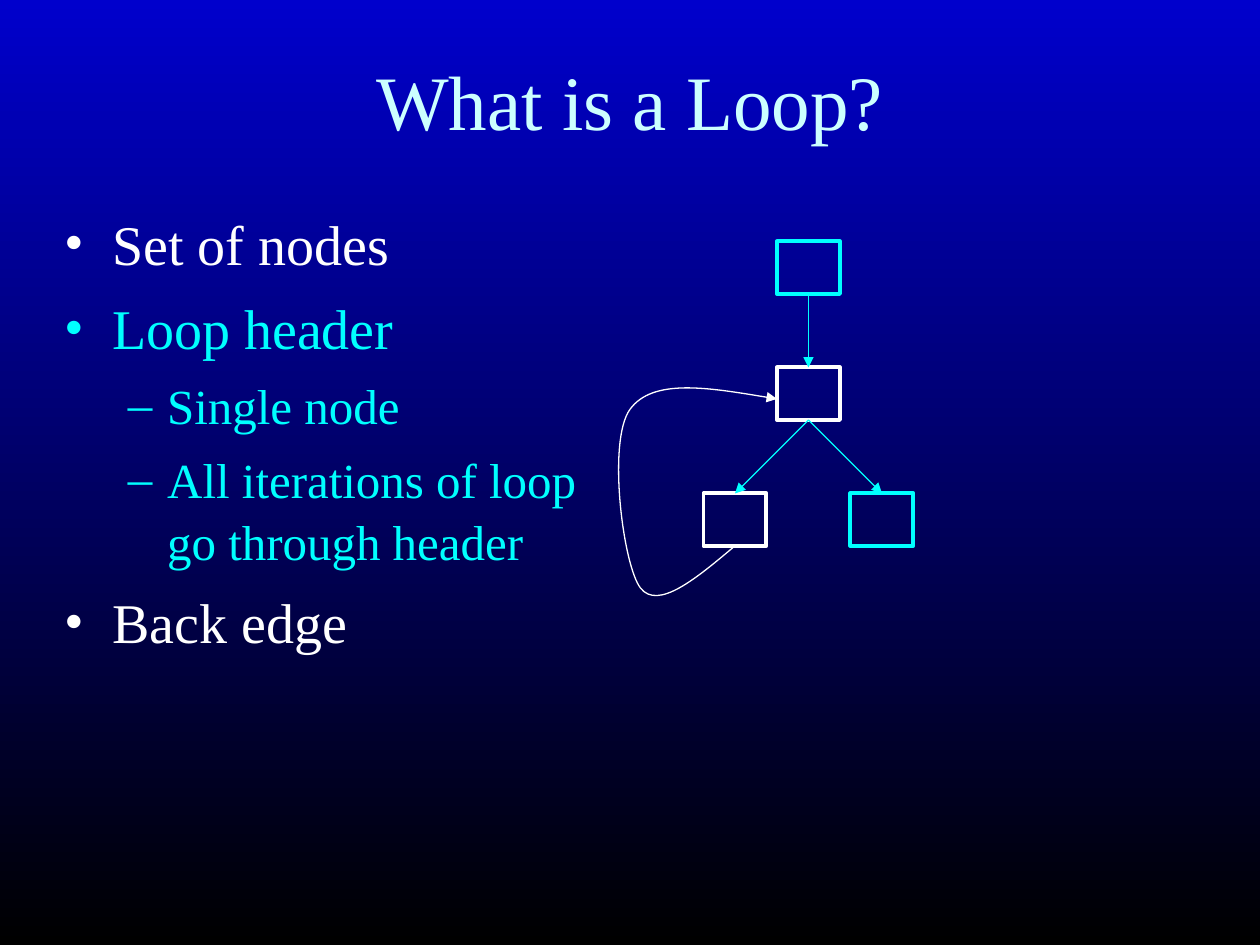
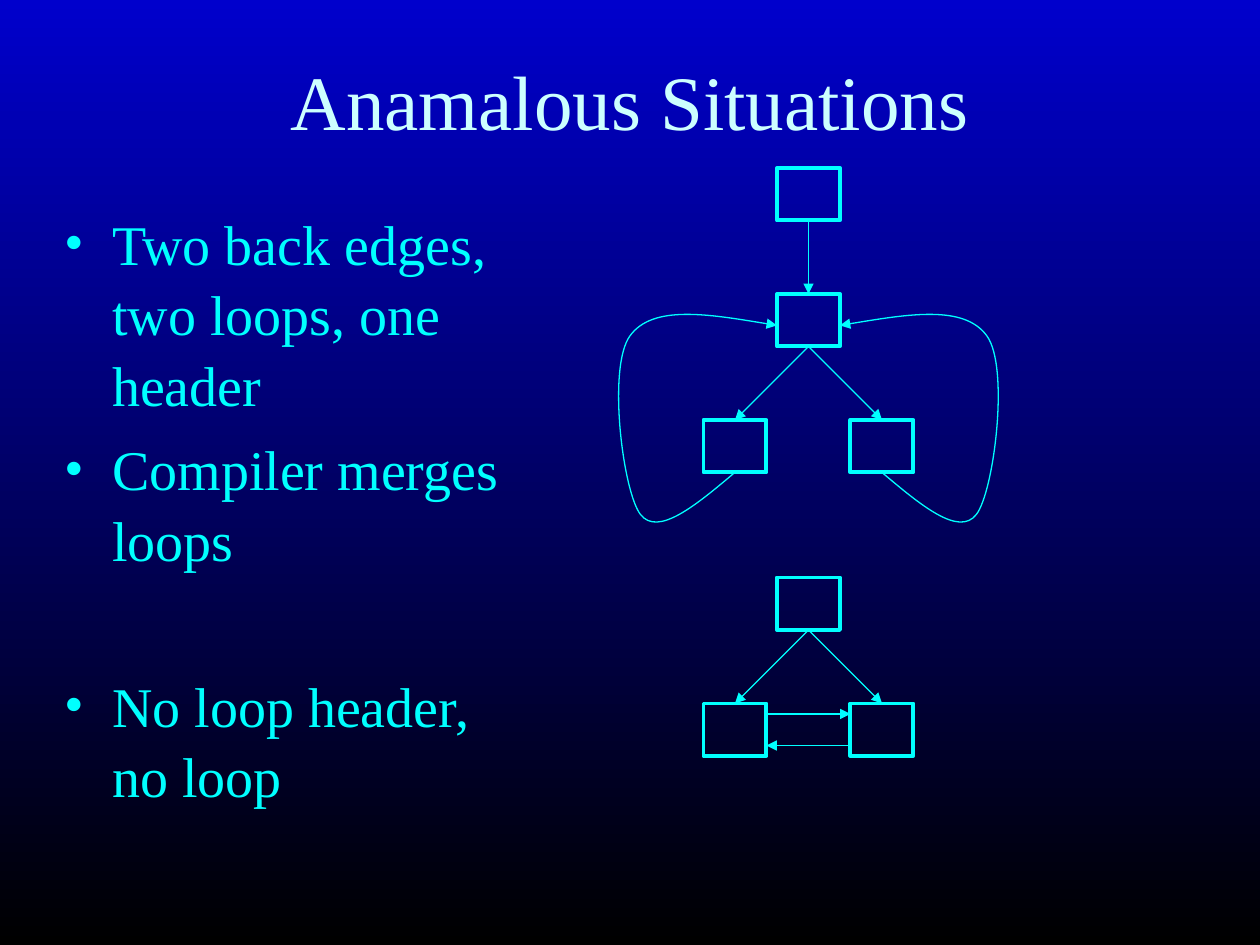
from dataclasses import dataclass

from lxml.etree import SubElement
from pptx import Presentation
from pptx.dml.color import RGBColor
from pptx.enum.shapes import MSO_CONNECTOR, MSO_SHAPE
from pptx.enum.text import MSO_ANCHOR, PP_ALIGN
from pptx.oxml.ns import qn
from pptx.util import Pt

TOP, LEFT, BOTTOM, RIGHT = range(4)


@dataclass(frozen=True)
class Theme:
    font: str = "Times New Roman"
    sky: RGBColor = RGBColor(0x00, 0x00, 0xCC)
    ground: RGBColor = RGBColor(0x00, 0x00, 0x00)
    heading: RGBColor = RGBColor(0xCC, 0xFF, 0xFF)
    cyan: RGBColor = RGBColor(0x00, 0xFF, 0xFF)
    white: RGBColor = RGBColor(0xFF, 0xFF, 0xFF)
    heading_size: float = 44
    body_sizes: tuple = (32, 28)
    body_gaps: tuple = (8, 7)
    body_margins: tuple = (27, 58.5)
    body_hangs: tuple = (27, 22.5)
    bullets: tuple = ("•", "–")
    line_spacing: float = 1.05
    node_line: float = 2.25
    edge_line: float = 0.75


THEME = Theme()
NODE_WIDTH, NODE_HEIGHT = 36, 30
ROW_STEP = 72
CENTER, BRANCH = 462, 42
LANES = (6, 24)
BACK_EDGE = [(42, 102), (64, 120.5), (86, 139), (96, 126), (106, 113),
             (115, 42), (102, 24), (89, 6), (54, 12), (18, 18)]


def write_text(paragraph, text, size, color, align=PP_ALIGN.LEFT, before=0,
               spacing=None, bullet=None, margin=0, hang=0):
    paragraph.alignment = align
    paragraph.space_before = Pt(before)
    paragraph.line_spacing = spacing
    run = paragraph.add_run()
    run.text = text
    run.font.name = THEME.font
    run.font.size = Pt(size)
    run.font.color.rgb = color
    if bullet:
        properties = paragraph._p.get_or_add_pPr()
        properties.set("marL", str(Pt(margin)))
        properties.set("indent", str(-Pt(hang)))
        SubElement(properties, qn("a:buFont"), typeface=THEME.font)
        SubElement(properties, qn("a:buChar"), char=bullet)


class Deck:
    def __init__(self, theme):
        self.theme = theme
        self.presentation = Presentation()
        self.presentation.slide_width = Pt(720)
        self.presentation.slide_height = Pt(540)
        self.slide = None

    def start_slide(self, heading):
        self.slide = self.presentation.slides.add_slide(self.presentation.slide_layouts[6])
        backdrop = self.slide.background.fill
        backdrop.gradient()
        backdrop.gradient_angle = 270
        for stop, color in zip(backdrop.gradient_stops, (self.theme.sky, self.theme.ground)):
            stop.color.rgb = color
        frame = self.text_frame(30, 12, 660, 90)
        frame.vertical_anchor = MSO_ANCHOR.MIDDLE
        write_text(frame.paragraphs[0], heading, self.theme.heading_size,
                   self.theme.heading, align=PP_ALIGN.CENTER)

    def text_frame(self, left, top, width, height):
        frame = self.slide.shapes.add_textbox(Pt(left), Pt(top), Pt(width), Pt(height)).text_frame
        frame.word_wrap = True
        return frame

    def bullet_list(self, width, points):
        theme = self.theme
        frame = self.text_frame(30, 114, width, 384)
        for index, (text, level, color, extra) in enumerate(points):
            paragraph = frame.add_paragraph() if index else frame.paragraphs[0]
            paragraph.level = level
            write_text(paragraph, text, theme.body_sizes[level], color,
                       before=theme.body_gaps[level] + extra,
                       spacing=theme.line_spacing, bullet=theme.bullets[level],
                       margin=theme.body_margins[level], hang=theme.body_hangs[level])

    def node(self, center, top, color):
        box = self.slide.shapes.add_shape(
            MSO_SHAPE.RECTANGLE, Pt(center - NODE_WIDTH / 2), Pt(top),
            Pt(NODE_WIDTH), Pt(NODE_HEIGHT))
        box.shadow.inherit = False
        box.fill.background()
        box.line.color.rgb = color
        box.line.width = Pt(self.theme.node_line)
        return box

    def finish_edge(self, edge, color):
        edge.line.color.rgb = color
        edge.line.width = Pt(self.theme.edge_line)
        outline = edge._element.spPr.find(qn("a:ln"))
        SubElement(outline, qn("a:tailEnd"), type="triangle")

    def straight_edge(self, begin, end):
        edge = self.slide.shapes.add_connector(MSO_CONNECTOR.STRAIGHT, *begin, *end)
        self.finish_edge(edge, self.theme.cyan)
        SubElement(edge._element.spPr, qn("a:effectLst"))
        return edge

    def down_edge(self, parent, child):
        edge = self.straight_edge((0, 0), (0, 0))
        edge.begin_connect(parent, BOTTOM)
        edge.end_connect(child, TOP)

    def back_edge(self, header_top, color, side):
        start, *controls = [(Pt(CENTER + side * x), Pt(header_top + y)) for x, y in BACK_EDGE]
        builder = self.slide.shapes.build_freeform(*start)
        builder.add_line_segments(controls, close=False)
        edge = builder.convert_to_shape()
        edge.shadow.inherit = False
        edge.fill.background()
        self.finish_edge(edge, color)
        outline = next(edge._element.iter(qn("a:path")))
        segments = outline.findall(qn("a:lnTo"))
        for first in range(0, len(segments), 3):
            curve = SubElement(outline, qn("a:cubicBezTo"))
            for segment in segments[first:first + 3]:
                curve.append(segment[0])
                outline.remove(segment)

    def fork(self, top, parent_color, left_color, right_color):
        parent = self.node(CENTER, top, parent_color)
        branches = [self.node(CENTER + side * BRANCH, top + ROW_STEP, color)
                    for side, color in ((-1, left_color), (1, right_color))]
        for branch in branches:
            self.down_edge(parent, branch)
        return parent, *branches

    def loop_graph(self, top, loop_color, sides):
        cyan = self.theme.cyan
        entry = self.node(CENTER, top, cyan)
        header, *_ = self.fork(top + ROW_STEP, loop_color, loop_color, cyan)
        self.down_edge(entry, header)
        for side in sides:
            self.back_edge(top + ROW_STEP, loop_color, side)

    def headerless_graph(self, top):
        cyan = self.theme.cyan
        _, left, right = self.fork(top, cyan, cyan, cyan)
        inner_left, inner_right = left.left + left.width, right.left
        forward, backward = (left.top + Pt(lane) for lane in LANES)
        self.straight_edge((inner_left, forward), (inner_right, forward))
        self.straight_edge((inner_right, backward), (inner_left, backward))


def main():
    deck = Deck(THEME)
    cyan, white = THEME.cyan, THEME.white

    deck.start_slide("What is a Loop?")
    deck.bullet_list(324, [
        ("Set of nodes", 0, white, 0),
        ("Loop header", 0, cyan, 0),
        ("Single node", 1, cyan, 0),
        ("All iterations of loop go through header", 1, cyan, 0),
        ("Back edge", 0, white, 0),
    ])
    deck.loop_graph(138, white, sides=(-1,))

    deck.start_slide("Anamalous Situations")
    deck.bullet_list(264, [
        ("Two back edges, two loops, one header", 0, cyan, 0),
        ("Compiler merges loops", 0, cyan, 0),
        ("No loop header, no loop", 0, cyan, 46.5),
    ])
    deck.loop_graph(96, cyan, sides=(-1, 1))
    deck.headerless_graph(330)

    deck.presentation.save("out.pptx")


if __name__ == "__main__":
    main()
